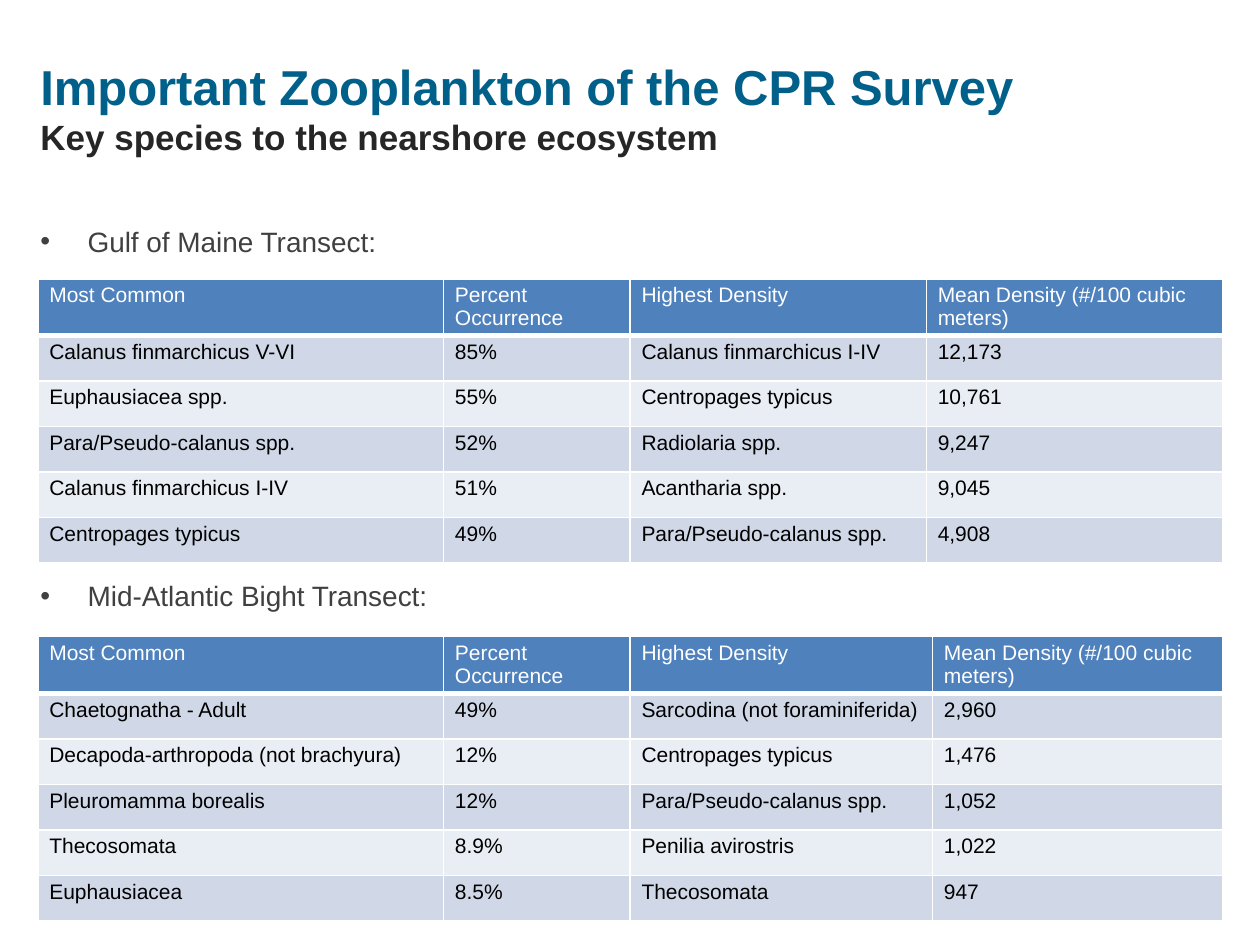
from copy import deepcopy

from lxml import etree
from pptx import Presentation
from pptx.dml.color import RGBColor
from pptx.enum import text as t
from pptx.oxml import ns
from pptx.util import Pt

FONT = "Arial"
HUES = {
    "title": "00608A", "sub": "262626", "body": "404040",
    "head": "4F81BD", "odd": "D0D8E8", "even": "E9EDF4",
    "white": "FFFFFF", "black": "000000",
}
HEADS = ["Most Common", "Percent Occurrence", "Highest Density",
         "Mean Density (#/100 cubic meters)"]
MAINE = [
    ["Calanus finmarchicus V-VI", "85%", "Calanus finmarchicus I-IV", "12,173"],
    ["Euphausiacea spp.", "55%", "Centropages typicus", "10,761"],
    ["Para/Pseudo-calanus spp.", "52%", "Radiolaria spp.", "9,247"],
    ["Calanus finmarchicus I-IV", "51%", "Acantharia spp.", "9,045"],
    ["Centropages typicus", "49%", "Para/Pseudo-calanus spp.", "4,908"],
]
BIGHT = [
    ["Chaetognatha - Adult", "49%", "Sarcodina (not foraminiferida)", "2,960"],
    ["Decapoda-arthropoda (not brachyura)", "12%", "Centropages typicus", "1,476"],
    ["Pleuromamma borealis", "12%", "Para/Pseudo-calanus spp.", "1,052"],
    ["Thecosomata", "8.9%", "Penilia avirostris", "1,022"],
    ["Euphausiacea", "8.5%", "Thecosomata", "947"],
]


def add_run(para, words, size, hue, bold=False):
    run = para.add_run()
    run.text = words
    font = run.font
    font.name, font.size, font.bold = FONT, Pt(size), bold
    font.color.rgb = RGBColor.from_string(HUES[hue])
    return run


def place(shape, left, top, width, height):
    shape.left, shape.top = Pt(left), Pt(top)
    shape.width, shape.height = Pt(width), Pt(height)
    frame = shape.text_frame
    frame.word_wrap = True
    frame.auto_size = t.MSO_AUTO_SIZE.NONE
    frame.vertical_anchor = t.MSO_ANCHOR.TOP
    return frame


def add_title(slide):
    frame = place(slide.shapes.title, 15.84, 26.64, 575.28, 97.2)
    frame.margin_top = Pt(5.8)
    para = frame.paragraphs[0]
    para.alignment = t.PP_ALIGN.LEFT
    head = add_run(para, "Important Zooplankton of the CPR Survey", 28, "title", True)
    para.add_line_break()
    # The break takes the size of the line it ends.
    para._p.find(ns.qn("a:br")).append(deepcopy(head._r.rPr))
    add_run(para, "Key species to the nearshore ecosystem", 20, "sub", True)


def add_list(slide):
    """Two bullets, set apart to leave room for the first table."""
    frame = place(slide.placeholders[1], 15.84, 124.6, 671, 337)
    items = [("Gulf of Maine Transect:", 0), ("Mid-Atlantic Bight Transect:", 183.3)]
    for num, (words, gap) in enumerate(items):
        para = frame.add_paragraph() if num else frame.paragraphs[0]
        props = para._p.get_or_add_pPr()
        props.set("marL", str(Pt(27)))
        props.set("indent", str(-Pt(27)))
        para.space_before = Pt(gap)
        etree.SubElement(props, ns.qn("a:buFont"), typeface=FONT)
        etree.SubElement(props, ns.qn("a:buChar"), char="•")
        add_run(para, words, 16, "body")


def add_edges(cell, base):
    """White cell borders; base is the width of the bottom one."""
    props = cell._tc.get_or_add_tcPr()
    for num, (side, width) in enumerate(
            [("lnL", 1), ("lnR", 1), ("lnT", 1), ("lnB", base)]):
        line = etree.Element(ns.qn("a:" + side), w=str(Pt(width)))
        fill = etree.SubElement(line, ns.qn("a:solidFill"))
        etree.SubElement(fill, ns.qn("a:srgbClr"), val=HUES["white"])
        props.insert(num, line)


def fill_cell(cell, words, back, hue, base):
    cell.margin_left = cell.margin_right = Pt(6.5)
    cell.margin_top = cell.margin_bottom = Pt(2.6)
    cell.fill.solid()
    cell.fill.fore_color.rgb = RGBColor.from_string(HUES[back])
    add_run(cell.text_frame.paragraphs[0], words, 12, hue)
    add_edges(cell, base)


def add_grid(slide, top, widths, data):
    rows = [HEADS] + data
    tall = [32.5] + [26] * len(data)
    grid = slide.shapes.add_table(len(rows), len(widths), Pt(21.7), Pt(top),
                                  Pt(sum(widths)), Pt(sum(tall))).table
    for col, width in zip(grid.columns, widths):
        col.width = Pt(width)
    for r, words in enumerate(rows):
        grid.rows[r].height = Pt(tall[r])
        back = "odd" if r % 2 else "even"
        style = (back, "black", 1) if r else ("head", "white", 3)
        for c, word in enumerate(words):
            fill_cell(grid.cell(r, c), word, *style)


def main():
    deck = Presentation()
    deck.slide_width, deck.slide_height = Pt(720), Pt(540)
    slide = deck.slides.add_slide(deck.slide_layouts[1])
    add_title(slide)
    add_list(slide)
    add_grid(slide, 159.3, [231.8, 106.6, 169.3, 169.3], MAINE)
    add_grid(slide, 363.8, [231.8, 106.6, 172.8, 165.8], BIGHT)
    deck.save("out.pptx")


if __name__ == "__main__":
    main()
